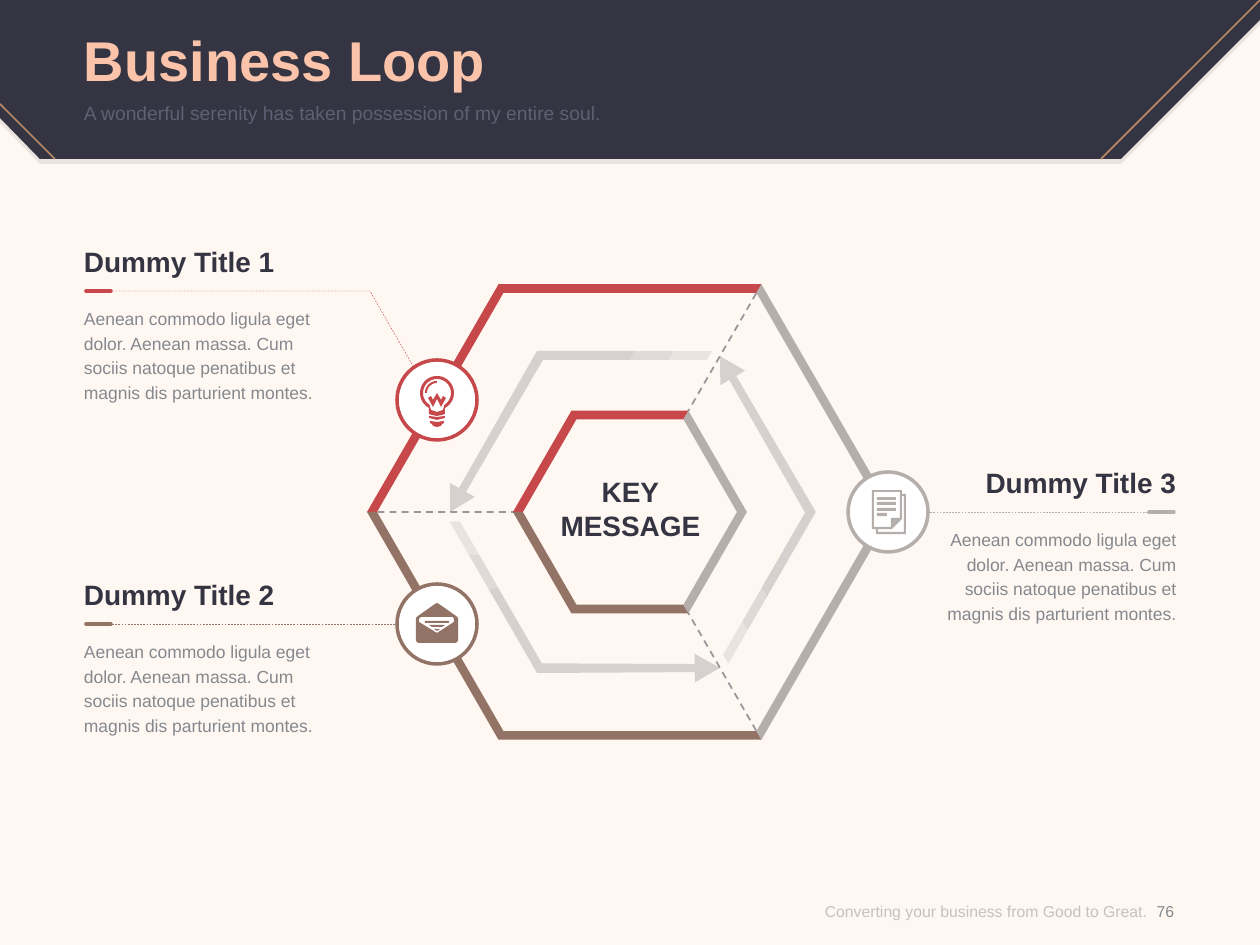
from dataclasses import dataclass
from math import cos, radians, sin
from typing import Optional

from lxml.etree import SubElement
from pptx import Presentation
from pptx.dml.color import RGBColor
from pptx.enum.dml import MSO_LINE
from pptx.enum.shapes import MSO_CONNECTOR, MSO_SHAPE
from pptx.enum.text import MSO_ANCHOR, MSO_AUTO_SIZE, PP_ALIGN
from pptx.oxml.ns import qn
from pptx.util import Emu, Pt

Point = tuple[float, float]
Contour = list[Point]

CREAM = RGBColor(0xFF, 0xF7, 0xF2)
NAVY = RGBColor(0x34, 0x34, 0x42)
PEACH = RGBColor(0xFB, 0xC4, 0xAA)
BRONZE = RGBColor(0xB9, 0x87, 0x63)
SLATE = RGBColor(0x60, 0x5F, 0x73)
GRAY = RGBColor(0x85, 0x89, 0x8F)
FOOTER_GRAY = RGBColor(0x8C, 0x8C, 0x8C)
WHITE = RGBColor(0xFF, 0xFF, 0xFF)
RED = RGBColor(0xC7, 0x48, 0x4A)
BROWN = RGBColor(0x92, 0x73, 0x65)
TAUPE = RGBColor(0xB6, 0xAE, 0xAB)

CENTER: Point = (630, 512)
BODY = ("Aenean commodo ligula eget dolor. Aenean massa. Cum sociis natoque "
        "penatibus et magnis dis parturient montes.")


@dataclass
class TextStyle:
    size: int
    color: RGBColor
    bold: bool = False
    align: PP_ALIGN = PP_ALIGN.LEFT
    anchor: MSO_ANCHOR = MSO_ANCHOR.TOP
    spacing: Optional[int] = None
    opacity: int = 100


@dataclass
class Stage:
    title: str
    color: RGBColor
    start_angle: int
    disc: Point
    rule_y: int
    leader: Contour
    mark: tuple[int, int]
    text_left: int
    align: PP_ALIGN
    icon: list[Contour]


def px(value: float) -> Emu:
    return Emu(round(value * 914400 / 126))


def polar(center: Point, radius: float, angle: float) -> Point:
    turn = radians(angle)
    return center[0] + radius * cos(turn), center[1] - radius * sin(turn)


def arc(center: Point, radius: float, start: int, end: int) -> Contour:
    steps = 32
    return [polar(center, radius, start + (end - start) * step / steps) for step in range(steps + 1)]


def box(left: int, top: int, right: int, bottom: int) -> Contour:
    return [(left, top), (right, top), (right, bottom), (left, bottom)]


def shift(contour: Contour, offset: Point) -> Contour:
    return [(x + offset[0], y + offset[1]) for x, y in contour]


def rotate(contour: Contour, angle: int) -> Contour:
    c, s = cos(radians(angle)), sin(radians(angle))
    return [(x * c + y * s, y * c - x * s) for x, y in contour]


def set_opacity(element, percent: int) -> None:
    if percent < 100:
        for color in element.iter(qn("a:srgbClr")):
            SubElement(color, qn("a:alpha")).set("val", str(percent * 1000))


def add_outline(slide, contours: list[Contour], closed: bool = True):
    scaled = [[(px(x), px(y)) for x, y in contour] for contour in contours]
    builder = slide.shapes.build_freeform(*scaled[0][0], scale=1.0)
    builder.add_line_segments(scaled[0][1:], close=closed)
    for contour in scaled[1:]:
        builder.move_to(*contour[0])
        builder.add_line_segments(contour[1:], close=closed)
    shape = builder.convert_to_shape()
    shape.shadow.inherit = False
    return shape


def add_area(slide, contours: list[Contour], color: RGBColor, opacity: int = 100) -> None:
    shape = add_outline(slide, contours)
    shape.fill.solid()
    shape.fill.fore_color.rgb = color
    shape.line.fill.background()
    set_opacity(shape.fill._xPr, opacity)


def style_line(line, color: RGBColor, width: float, dashed: bool) -> None:
    line.color.rgb = color
    line.width = Pt(width)
    if dashed:
        line.dash_style = MSO_LINE.DASH


def add_line(slide, points: Contour, color: RGBColor, width: float,
             dashed: bool = False, opacity: int = 100, rounded: bool = False) -> None:
    if len(points) > 2:
        shape = add_outline(slide, [points], closed=False)
        shape.fill.background()
    else:
        (x1, y1), (x2, y2) = points
        shape = slide.shapes.add_connector(MSO_CONNECTOR.STRAIGHT, px(x1), px(y1), px(x2), px(y2))
    style_line(shape.line, color, width, dashed)
    properties = shape._element.spPr
    set_opacity(properties, opacity)
    if rounded:
        properties.find(qn("a:ln")).set("cap", "rnd")
    if len(points) == 2:
        SubElement(properties, qn("a:effectLst"))


def write_text(shape, lines: list[str], style: TextStyle) -> None:
    frame = shape.text_frame
    frame.word_wrap = True
    frame.auto_size = MSO_AUTO_SIZE.NONE
    frame.vertical_anchor = style.anchor
    frame.margin_left = frame.margin_right = frame.margin_top = frame.margin_bottom = 0
    for index, line in enumerate(lines):
        paragraph = frame.add_paragraph() if index else frame.paragraphs[0]
        paragraph.alignment = style.align
        paragraph.space_before = Pt(0)
        if style.spacing:
            paragraph.line_spacing = Pt(style.spacing)
        run = paragraph.add_run()
        run.text = line
        run.font.name = "Arial"
        run.font.size = Pt(style.size)
        run.font.bold = style.bold
        run.font.color.rgb = style.color
        set_opacity(run._r, style.opacity)


def place(shape, left: int, top: int, width: int, height: int) -> None:
    shape.left, shape.top, shape.width, shape.height = map(px, (left, top, width, height))


def add_text(slide, area: tuple[int, int, int, int], lines: list[str], style: TextStyle) -> None:
    write_text(slide.shapes.add_textbox(*map(px, area)), lines, style)


def add_header(slide) -> None:
    banner = [(1121, 159), (40, 159), (0, 118), (0, 0), (1260, 0), (1260, 20)]
    add_area(slide, [shift(banner, (0, 5))], NAVY, 10)
    add_area(slide, [banner], NAVY)
    add_line(slide, [(1260, 0), (1101, 159)], BRONZE, 1)
    add_line(slide, [(0, 104), (55, 159)], BRONZE, 1)
    title, subtitle = slide.placeholders
    place(title, 84, 18, 1091, 82)
    write_text(title, ["Business Loop"], TextStyle(32, PEACH, True, anchor=MSO_ANCHOR.MIDDLE))
    place(subtitle, 84, 101, 1091, 49)
    properties = subtitle.text_frame.paragraphs[0]._p.get_or_add_pPr()
    properties.set("marL", "0")
    properties.set("indent", "0")
    SubElement(properties, qn("a:buNone"))
    write_text(subtitle, ["A wonderful serenity has taken possession of my entire soul."], TextStyle(11, SLATE))
    for shape in (title, subtitle):
        slide.shapes._spTree.append(shape._element)


def add_band(slide, outer: int, inner: int, stage: Stage) -> None:
    angles = [stage.start_angle + 60 * step for step in range(3)]
    add_area(slide, [[polar(CENTER, outer, angle) for angle in angles]
                     + [polar(CENTER, inner, angle) for angle in reversed(angles)]], stage.color)


def add_loop_arrow(slide, turn: int) -> None:
    arrow = [(-1, -152), (-87, -152), (-164, -20), (-155, -15), (-180, 0),
             (-180, -29), (-171, -24), (-93, -161), (4, -161)]
    tail = [(43, -161), (38, -152), (-1, -152), (4, -161)]
    for contour, opacity in ((arrow, 20), (tail, 15), (shift(tail, (39, 0)), 10)):
        add_area(slide, [shift(rotate(contour, turn), CENTER)], NAVY, opacity)


def add_disc(slide, stage: Stage) -> None:
    x, y = stage.disc
    disc = slide.shapes.add_shape(MSO_SHAPE.OVAL, px(x - 40), px(y - 40), px(80), px(80))
    disc.shadow.inherit = False
    disc.fill.solid()
    disc.fill.fore_color.rgb = WHITE
    style_line(disc.line, stage.color, 2, False)
    add_area(slide, [shift(contour, stage.disc) for contour in stage.icon], stage.color)


def add_callout(slide, stage: Stage) -> None:
    y = stage.rule_y
    add_text(slide, (stage.text_left, y - 46, 257, 34), [stage.title], TextStyle(16, NAVY, True, stage.align))
    add_text(slide, (stage.text_left, y + 14, 257, 99), [BODY], TextStyle(10, GRAY, align=stage.align, spacing=14))
    add_line(slide, [(x, y) for x in stage.mark], stage.color, 2, rounded=True)


HEAD: Point = (0, -7)
BULB = [
    arc(HEAD, 17, 242, -62) + [(8, 14), (5, 15), (0, 16), (-5, 15), (-8, 14)],
    arc(HEAD, 14, 238, -58) + [(6, 10), (0, 12), (-6, 10)],
    arc(HEAD, 12, 180, 90) + arc(HEAD, 10, 90, 180),
    [(4, 0), (0, -7), (-4, 0), (-6, -4), (-9, -2), (-4, 7), (0, -1), (4, 7), (9, -2), (6, -4)],
    [(-8, 16), (-8, 18), (0, 20), (8, 18), (8, 16), (0, 17)],
    [(-7, 21), (-7, 23), (-5, 24), (-4, 26), (0, 27), (4, 26), (5, 24), (7, 23), (7, 21), (0, 22)],
]
ENVELOPE = [
    [(-21, -6), (-19, -8), (-2, -20), (0, -21), (2, -20), (19, -8), (21, -6),
     (21, 17), (19, 19), (-19, 19), (-21, 17)],
    [(17, -2), (0, 9), (-18, -2), (-18, -5), (-16, -7), (16, -7), (17, -5)],
    box(-12, -3, 12, -1),
    [(-8, 1), (-5, 3), (5, 3), (8, 1)],
    [(-3, 5), (3, 5), (0, 7)],
]
DOCUMENT = [
    [(-16, -22), (14, -22), (14, -18), (18, -18), (18, 22), (-12, 22), (-12, 17), (-16, 17)],
    [(-14, -20), (12, -20), (12, 6), (3, 6), (3, 15), (-14, 15)],
    [(16, 20), (-10, 20), (-10, 17), (4, 17), (14, 7), (14, -16), (16, -16)],
] + [box(-11, top, right, top + 3) for top, right in ((-15, 8), (-10, 8), (-4, 8), (1, -1))]

STAGES = [
    Stage("Dummy Title 1", RED, 60, (437, 400), 291, [(106, 291), (370, 291), (432, 399)],
          (86, 111), 84, PP_ALIGN.LEFT, BULB),
    Stage("Dummy Title 2", BROWN, 180, (437, 624), 624, [(106, 624), (437, 624)],
          (86, 111), 84, PP_ALIGN.LEFT, ENVELOPE),
    Stage("Dummy Title 3", TAUPE, 300, (888, 512), 512, [(1154, 512), (891, 512)],
          (1149, 1174), 919, PP_ALIGN.RIGHT, DOCUMENT),
]


def main() -> None:
    presentation = Presentation()
    presentation.slide_width, presentation.slide_height = px(1260), px(945)
    slide = presentation.slides.add_slide(presentation.slide_layouts[1])
    slide.background.fill.solid()
    slide.background.fill.fore_color.rgb = CREAM
    add_header(slide)
    for stage in STAGES:
        ends = [polar(CENTER, radius, stage.start_angle) for radius in (112, 258)]
        add_line(slide, ends, NAVY, 1, dashed=True, opacity=50)
    for stage in STAGES:
        add_band(slide, 263, 253, stage)
        add_band(slide, 117, 107, stage)
        add_line(slide, stage.leader, stage.color, 0.25, dashed=True)
        add_callout(slide, stage)
        add_loop_arrow(slide, stage.start_angle - 60)
    for stage in STAGES:
        add_disc(slide, stage)
    add_text(slide, (536, 475, 189, 68), ["KEY", "MESSAGE"], TextStyle(16, NAVY, True, PP_ALIGN.CENTER))
    add_text(slide, (761, 877, 386, 68), ["Converting your business from Good to Great."],
             TextStyle(9, FOOTER_GRAY, align=PP_ALIGN.RIGHT, anchor=MSO_ANCHOR.MIDDLE, opacity=50))
    add_text(slide, (1136, 877, 59, 68), ["76"],
             TextStyle(9, GRAY, align=PP_ALIGN.CENTER, anchor=MSO_ANCHOR.MIDDLE))
    presentation.save("out.pptx")


if __name__ == "__main__":
    main()
